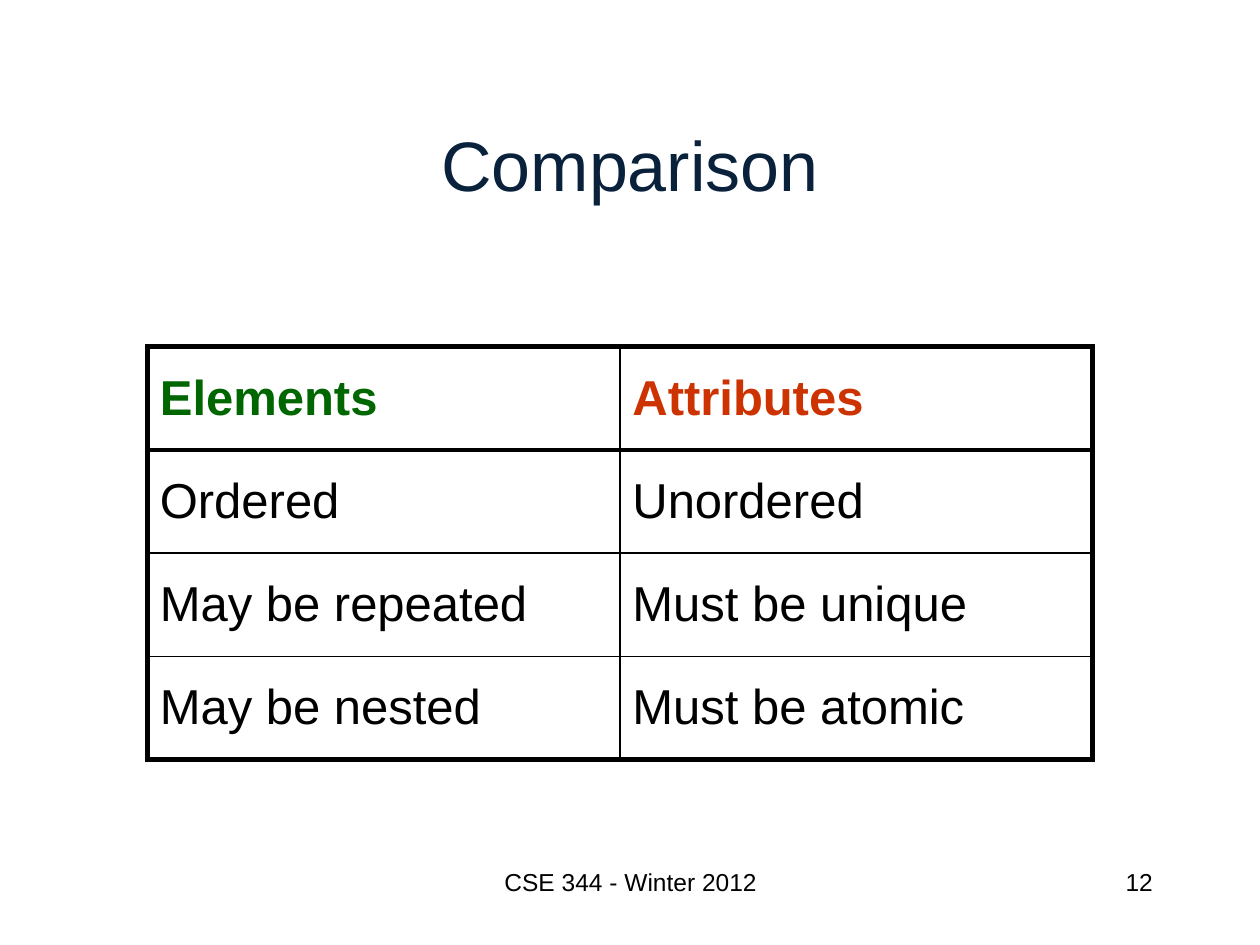
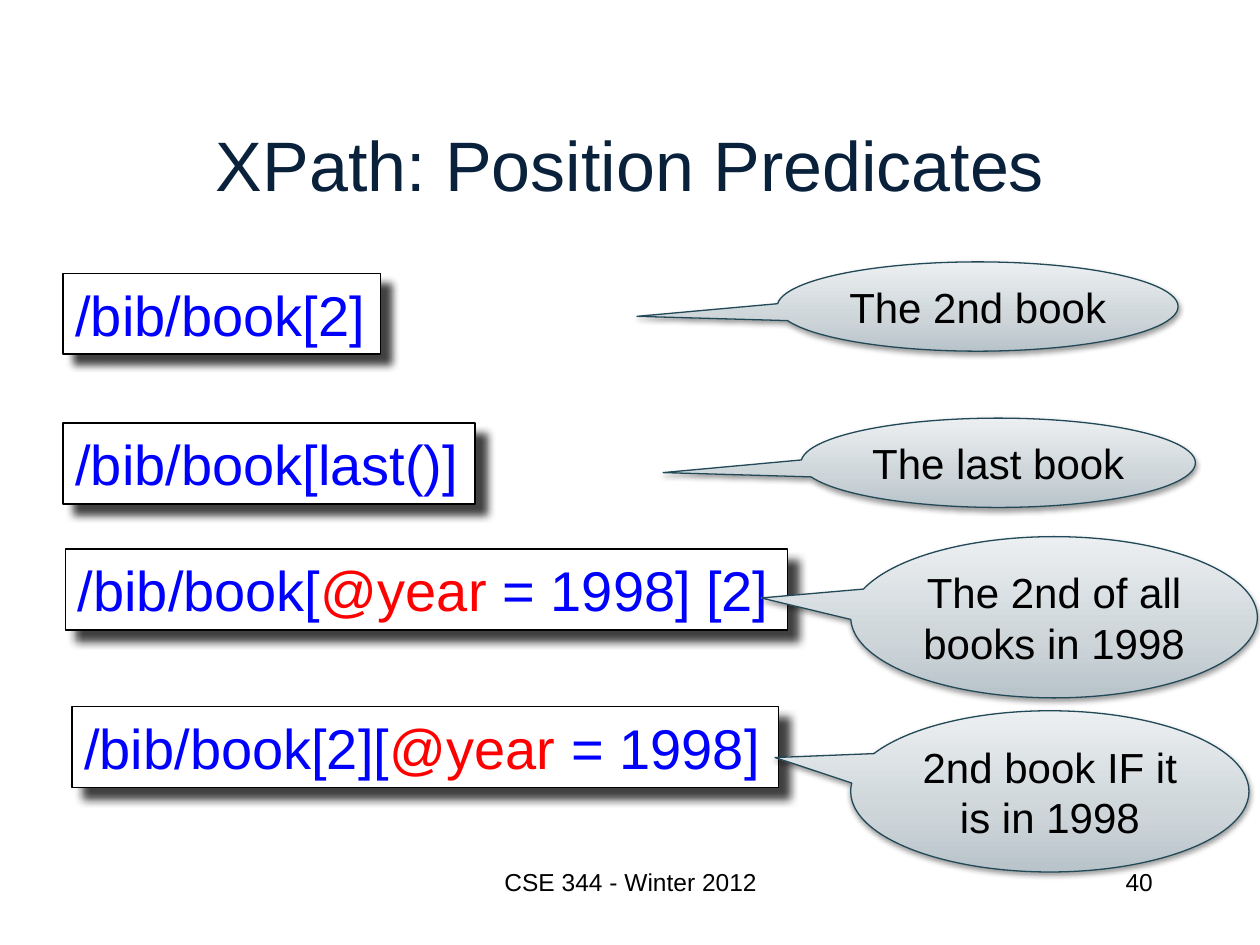
from copy import deepcopy

from lxml.etree import SubElement
from pptx import Presentation
from pptx.dml.color import RGBColor
from pptx.enum.shapes import MSO_SHAPE
from pptx.enum.text import MSO_ANCHOR, PP_ALIGN
from pptx.oxml import parse_xml
from pptx.oxml.ns import nsdecls, qn
from pptx.util import Cm, Pt

BLACK, WHITE = "000000", "FFFFFF"
NAVY, BLUE, RED = "09213B", "0000FF", "FF0000"
GREEN, RUST, TEAL = "006600", "CC3300", "224957"
CALLOUT_STOPS = [(0, "B8C3CA"), (0.35, "CDD5D9"), (1, "ECEFF1")]


def rgb(color):
    return RGBColor.from_string(color)


def write(tf, text, size=24, color=BLACK, bold=False, align=PP_ALIGN.LEFT,
          anchor=MSO_ANCHOR.TOP, wrap=True):
    """Fill a text frame; text is a string or a list of (text, color) runs."""
    tf.word_wrap = wrap
    tf.vertical_anchor = anchor
    p = tf.paragraphs[0]
    p.alignment = align
    runs = [(text, color)] if isinstance(text, str) else text
    for run_text, run_color in runs:
        for i, line in enumerate(run_text.split("\n")):
            if i:
                p.add_line_break()
            r = p.add_run()
            r.text = line
            r.font.name, r.font.size, r.font.bold = "Arial", Pt(size), bold
            r.font.color.rgb = rgb(run_color)


def add_shadow(sp, alpha, blur, distance, angle):
    """Give a shape a black shadow: alpha in percent, blur and distance in points."""
    sp.shadow.inherit = False
    effects = sp._element.spPr.find(qn("a:effectLst"))
    shadow = SubElement(effects, qn("a:outerShdw"), blurRad=str(Pt(blur)),
                        dist=str(Pt(distance)), dir=str(angle * 60000),
                        algn="ctr", rotWithShape="0")
    color = SubElement(shadow, qn("a:srgbClr"), val=BLACK)
    SubElement(color, qn("a:alpha"), val=str(alpha * 1000))


def set_borders(cell, widths):
    """Draw black cell borders; widths are points for left, right, top, bottom."""
    tc_pr = cell._tc.get_or_add_tcPr()
    for i, (side, width) in enumerate(zip("LRTB", widths)):
        tc_pr.insert(i, parse_xml(
            f'<a:ln{side} {nsdecls("a")} w="{Pt(width)}"><a:solidFill>'
            f'<a:srgbClr val="{BLACK}"/></a:solidFill></a:ln{side}>'))


class Deck:
    def __init__(self):
        self.prs = Presentation()
        self.prs.slide_width, self.prs.slide_height = Cm(25.4), Cm(19.05)

    def new_slide(self, title, number):
        self.s = self.prs.slides.add_slide(self.prs.slide_layouts[6])
        self.text(title, 1.9, 1.7, 21.6, 3.18, size=40, color=NAVY,
                  align=PP_ALIGN.CENTER, anchor=MSO_ANCHOR.MIDDLE)
        self.text("CSE 344 - Winter 2012", 8.69, 17.35, 8.05, 1.27, size=14,
                  align=PP_ALIGN.CENTER)
        self.text(str(number), 18.21, 17.35, 5.28, 1.27, size=14,
                  align=PP_ALIGN.RIGHT)

    def text(self, text, x, y, w, h, **fmt):
        box = self.s.shapes.add_textbox(Cm(x), Cm(y), Cm(w), Cm(h))
        write(box.text_frame, text, **fmt)

    def shape(self, kind, x, y, w, h, line):
        sp = self.s.shapes.add_shape(kind, Cm(x), Cm(y), Cm(w), Cm(h))
        sp.line.color.rgb = rgb(line)
        sp.line.width = Pt(0.75)
        return sp

    def code_box(self, runs, x, y, w):
        sp = self.shape(MSO_SHAPE.RECTANGLE, x, y, w, 1.63, BLACK)
        sp.fill.solid()
        sp.fill.fore_color.rgb = rgb(WHITE)
        add_shadow(sp, 75, 5, 8.5, 45)
        write(sp.text_frame, runs, size=32, color=BLUE,
              anchor=MSO_ANCHOR.MIDDLE, wrap=False)

    def callout(self, text, x, y, w, h, tip):
        sp = self.shape(MSO_SHAPE.OVAL_CALLOUT, x, y, w, h, TEAL)
        sp.adjustments[0], sp.adjustments[1] = tip
        sp.fill.gradient()
        sp.fill.gradient_angle = 90
        stop_list = sp._element.spPr.find(".//" + qn("a:gsLst"))
        stop_list.append(deepcopy(stop_list[-1]))
        for stop, (position, color) in zip(sp.fill.gradient_stops, CALLOUT_STOPS):
            stop.position = position
            stop.color.rgb = rgb(color)
        add_shadow(sp, 38, 3.1, 1.6, 90)
        write(sp.text_frame, text, align=PP_ALIGN.CENTER,
              anchor=MSO_ANCHOR.MIDDLE, wrap=False)

    def table(self, rows, header_colors, x, y, w, row_h):
        """Add a table with a thick frame and a thick rule under its header."""
        n_rows, n_cols = len(rows), len(rows[0])
        table = self.s.shapes.add_table(n_rows, n_cols, Cm(x), Cm(y), Cm(w),
                                        Cm(row_h * n_rows)).table
        table.first_row = table.horz_banding = False
        for i, row in enumerate(rows):
            for j, text in enumerate(row):
                cell = table.cell(i, j)
                cell.fill.background()
                cell.vertical_anchor = MSO_ANCHOR.MIDDLE
                thick = (j == 0, j == n_cols - 1, i < 2, i in (0, n_rows - 1))
                set_borders(cell, [3 if t else 1 for t in thick])
                write(cell.text_frame, text, size=28, bold=i == 0,
                      color=BLACK if i else header_colors[j],
                      anchor=None, wrap=None)


def main():
    deck = Deck()

    deck.new_slide("Comparison", 12)
    deck.table([("Elements", "Attributes"),
                ("Ordered", "Unordered"),
                ("May be repeated", "Must be unique"),
                ("May be nested", "Must be atomic")],
               (GREEN, RUST), 2.97, 6.99, 19.05, 2.08)

    deck.new_slide("XPath: Position Predicates", 40)
    year = ("@year ", RED)
    for code, x, y, w in [
        ("/bib/book[2]", 1.27, 5.51, 6.4),
        ("/bib/book[last()]", 1.27, 8.53, 8.31),
        ([("/bib/book[", BLUE), year, ("= 1998] [2]", BLUE)], 1.32, 11.07, 14.55),
        ([("/bib/book[2][", BLUE), year, ("= 1998]", BLUE)], 1.45, 14.25, 14.25),
    ]:
        deck.code_box(code, x, y, w)
    for meaning, x, y, w, h, tip in [
        ("The 2nd book", 15.67, 5.28, 8.08, 1.8, (-0.85, 0.11)),
        ("The last book", 16.15, 8.43, 7.95, 1.8, (-0.85, 0.11)),
        ("The 2nd of all\nbooks in 1998", 17.15, 10.82, 8.2, 3.25, (-0.72, -0.12)),
        ("2nd book IF it\nis in 1998", 17.15, 14.33, 8.03, 3.25, (-0.69, -0.21)),
    ]:
        deck.callout(meaning, x, y, w, h, tip)

    deck.prs.save("out.pptx")


if __name__ == "__main__":
    main()
